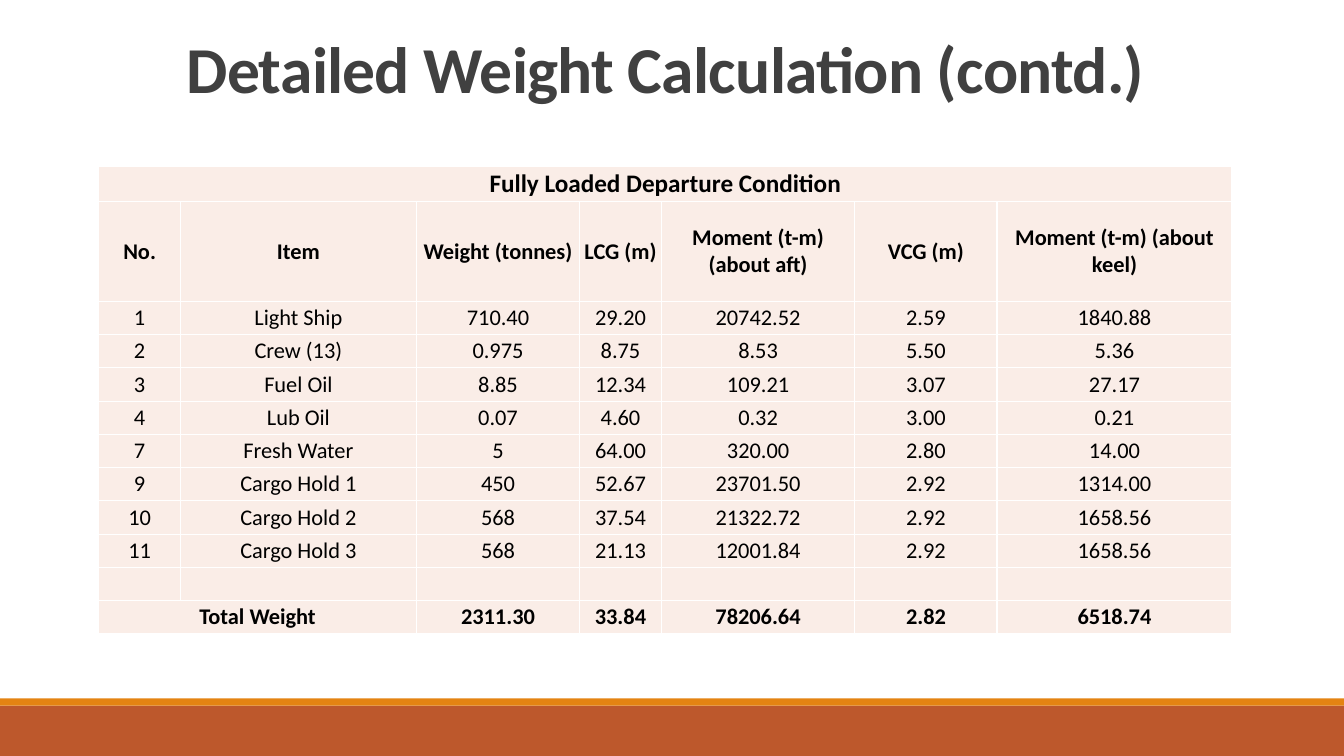
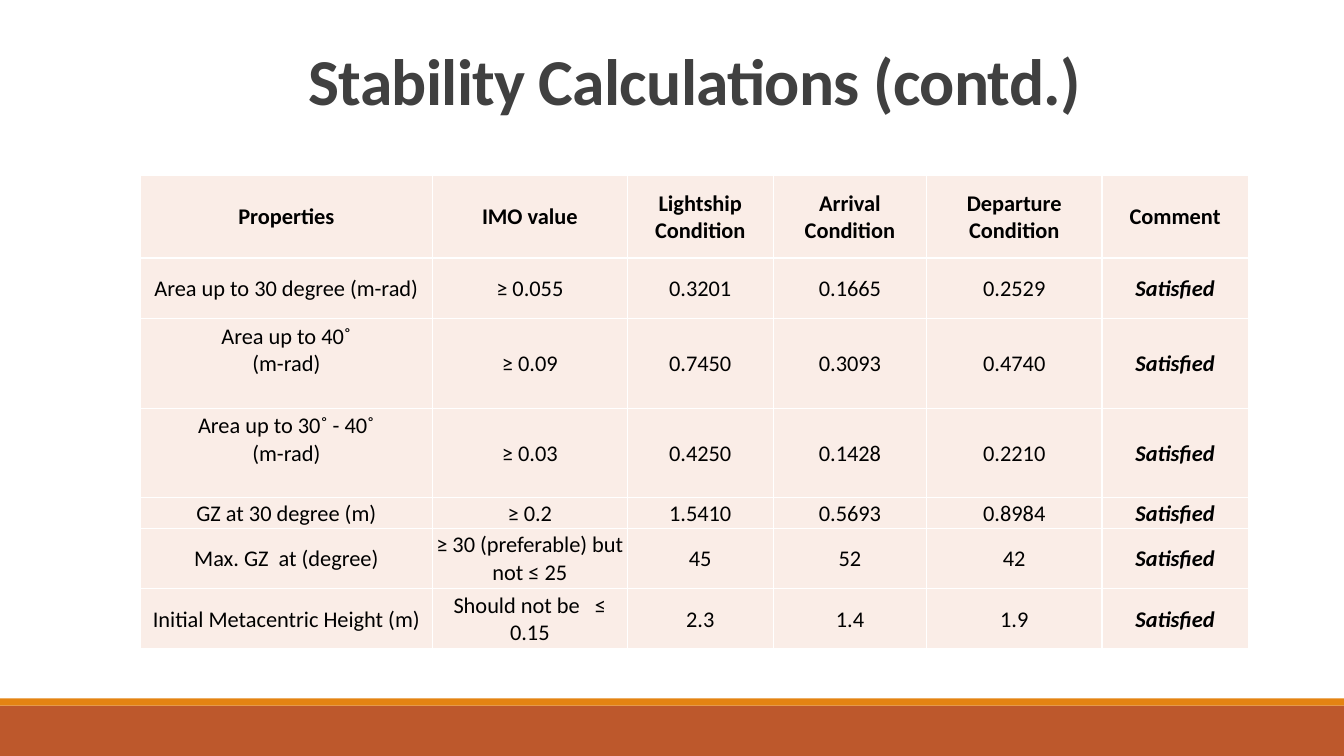
"""Build two slides of ship weight and stability tables."""
import lxml.etree
import pptx
import pptx.dml.color
import pptx.enum.shapes
import pptx.enum.text
import pptx.oxml.ns
import pptx.util

Inches = pptx.util.Inches
Pt = pptx.util.Pt

WEIGHT_ROWS = [
    ["Fully Loaded Departure Condition"] + [None] * 6,
    ["No.", "Item", "Weight (tonnes)", "LCG (m)", "Moment (t-m) (about aft)", "VCG (m)",
     "Moment (t-m) (about keel)"],
    ["1", "Light Ship", "710.40", "29.20", "20742.52", "2.59", "1840.88"],
    ["2", "Crew (13)", "0.975", "8.75", "8.53", "5.50", "5.36"],
    ["3", "Fuel Oil", "8.85", "12.34", "109.21", "3.07", "27.17"],
    ["4", "Lub Oil", "0.07", "4.60", "0.32", "3.00", "0.21"],
    ["7", "Fresh Water", "5", "64.00", "320.00", "2.80", "14.00"],
    ["9", "Cargo Hold 1", "450", "52.67", "23701.50", "2.92", "1314.00"],
    ["10", "Cargo Hold 2", "568", "37.54", "21322.72", "2.92", "1658.56"],
    ["11", "Cargo Hold 3", "568", "21.13", "12001.84", "2.92", "1658.56"],
    [""] * 7,
    ["Total Weight", None, "2311.30", "33.84", "78206.64", "2.82", "6518.74"],
]

STABILITY_ROWS = [
    ["Properties", "IMO value", "Lightship Condition", "Arrival Condition",
     "Departure Condition", "Comment"],
    ["Area up to 30 degree (m-rad)", "≥ 0.055", "0.3201", "0.1665", "0.2529", "Satisfied"],
    ["Area up to 40˚\n(m-rad)", "≥ 0.09", "0.7450", "0.3093", "0.4740", "Satisfied"],
    ["Area up to 30˚ - 40˚\n(m-rad)", "≥ 0.03", "0.4250", "0.1428", "0.2210", "Satisfied"],
    ["GZ at 30 degree (m)", "≥ 0.2", "1.5410", "0.5693", "0.8984", "Satisfied"],
    ["Max. GZ  at (degree)", "≥ 30 (preferable) but not ≤ 25", "45", "52", "42", "Satisfied"],
    ["Initial Metacentric Height (m)", "Should not be   ≤ 0.15", "2.3", "1.4", "1.9",
     "Satisfied"],
]


def color(value):
    """Return the RGB colour for a hex string."""
    return pptx.dml.color.RGBColor.from_string(value)


def write_text(frame, text, size=16, fill="000000", bold=False, italic=False,
               line_spacing=1.0, tracking=None):
    """Write centred text into a frame, one paragraph per line."""
    frame.text = text
    for paragraph in frame.paragraphs:
        paragraph.alignment = pptx.enum.text.PP_ALIGN.CENTER
        paragraph.line_spacing = line_spacing
        for run in paragraph.runs:
            font = run.font
            font.name = "Calibri"
            font.size = Pt(size)
            font.bold = bold
            font.italic = italic
            font.color.rgb = color(fill)
            if tracking is not None:
                font._element.set("spc", str(round(tracking * 100)))


class Deck:
    """Hold the shared style and the current slide."""

    TITLE_COLOR = "404040"
    CELL_COLOR = "FAEDE7"
    BORDER_COLOR = "FFFFFF"
    BANDS = [(7, 0.5, "BD582C"), (6.93, 0.07, "E48312")]

    def __init__(self):
        """Start a widescreen presentation."""
        self.presentation = pptx.Presentation()
        self.presentation.slide_width = Inches(13.33)
        self.presentation.slide_height = Inches(7.5)
        self.slide = None

    def add_slide(self, title, left, top):
        """Add a slide with its title and bottom bands."""
        self.slide = self.presentation.slides.add_slide(self.presentation.slide_layouts[5])
        for band_top, height, fill in self.BANDS:
            self.add_band(band_top, height, fill)
        shape = self.slide.shapes.title
        shape.left, shape.top = Inches(left), Inches(top)
        shape.width, shape.height = Inches(11), Inches(1.59)
        frame = shape.text_frame
        frame.word_wrap = True
        frame.auto_size = pptx.enum.text.MSO_AUTO_SIZE.NONE
        frame.vertical_anchor = pptx.enum.text.MSO_ANCHOR.TOP
        write_text(frame, title, size=46.8, fill=self.TITLE_COLOR, bold=True,
                   line_spacing=0.85, tracking=-0.5)

    def add_band(self, top, height, fill):
        """Add a full-width band."""
        shape = self.slide.shapes.add_shape(
            pptx.enum.shapes.MSO_SHAPE.RECTANGLE, 0, Inches(top),
            self.presentation.slide_width, Inches(height))
        shape.shadow.inherit = False
        shape.fill.solid()
        shape.fill.fore_color.rgb = color(fill)
        shape.line.fill.background()

    def add_table(self, left, top, widths, heights, rows, bold_rows, inset=0,
                  caption_size=16, comment_column=None):
        """Add a table, merging each None cell into the cell on its left."""
        table = self.slide.shapes.add_table(
            len(rows), len(widths), Inches(left), Inches(top),
            Inches(sum(widths)), Inches(sum(heights))).table
        table.first_row = table.horz_banding = False
        for column, width in zip(table.columns, widths):
            column.width = Inches(width)
        for table_row, height in zip(table.rows, heights):
            table_row.height = Inches(height)
        for row, texts in enumerate(rows):
            for column, text in enumerate(texts):
                cell = table.cell(row, column)
                self.style_cell(cell, inset)
                if text is None:
                    continue
                is_comment = column == comment_column and row not in bold_rows
                write_text(cell.text_frame, text, size=16 if row else caption_size,
                           bold=row in bold_rows or is_comment, italic=is_comment)
                if "\n" in text:
                    cell.margin_bottom = Inches(0.27)
                end = column
                while end + 1 < len(texts) and texts[end + 1] is None:
                    end += 1
                if end > column:
                    cell.merge(table.cell(row, end))

    def style_cell(self, cell, inset):
        """Set the borders, fill, margins and anchor of a cell."""
        properties = cell._tc.get_or_add_tcPr()
        qualify = pptx.oxml.ns.qn
        for side in ("a:lnL", "a:lnR", "a:lnT", "a:lnB"):
            line = lxml.etree.SubElement(properties, qualify(side), w=str(Pt(1)))
            fill = lxml.etree.SubElement(line, qualify("a:solidFill"))
            lxml.etree.SubElement(fill, qualify("a:srgbClr"), val=self.BORDER_COLOR)
        cell.fill.solid()
        cell.fill.fore_color.rgb = color(self.CELL_COLOR)
        cell.margin_left = cell.margin_right = cell.margin_top = Inches(inset)
        cell.margin_bottom = 0
        cell.vertical_anchor = pptx.enum.text.MSO_ANCHOR.MIDDLE


def main():
    """Build and save the slides."""
    deck = Deck()
    deck.add_slide("Detailed Weight Calculation (contd.)", 1.1, 0.35)
    deck.add_table(0.98, 1.65, [0.81, 2.34, 1.62, 0.81, 1.92, 1.41, 2.33],
                   [0.35, 0.99] + [0.33] * 10, WEIGHT_ROWS,
                   bold_rows={0, 1, len(WEIGHT_ROWS) - 1}, caption_size=18)
    deck.add_slide("Stability Calculations (contd.)", 1.39, 0.47)
    deck.add_table(1.39, 1.74, [2.9, 1.93, 1.45, 1.52, 1.74, 1.45],
                   [0.82, 0.6, 0.89, 0.89, 0.3, 0.6, 0.6], STABILITY_ROWS,
                   bold_rows={0}, inset=0.01, comment_column=5)
    deck.presentation.save("out.pptx")


if __name__ == "__main__":
    main()
